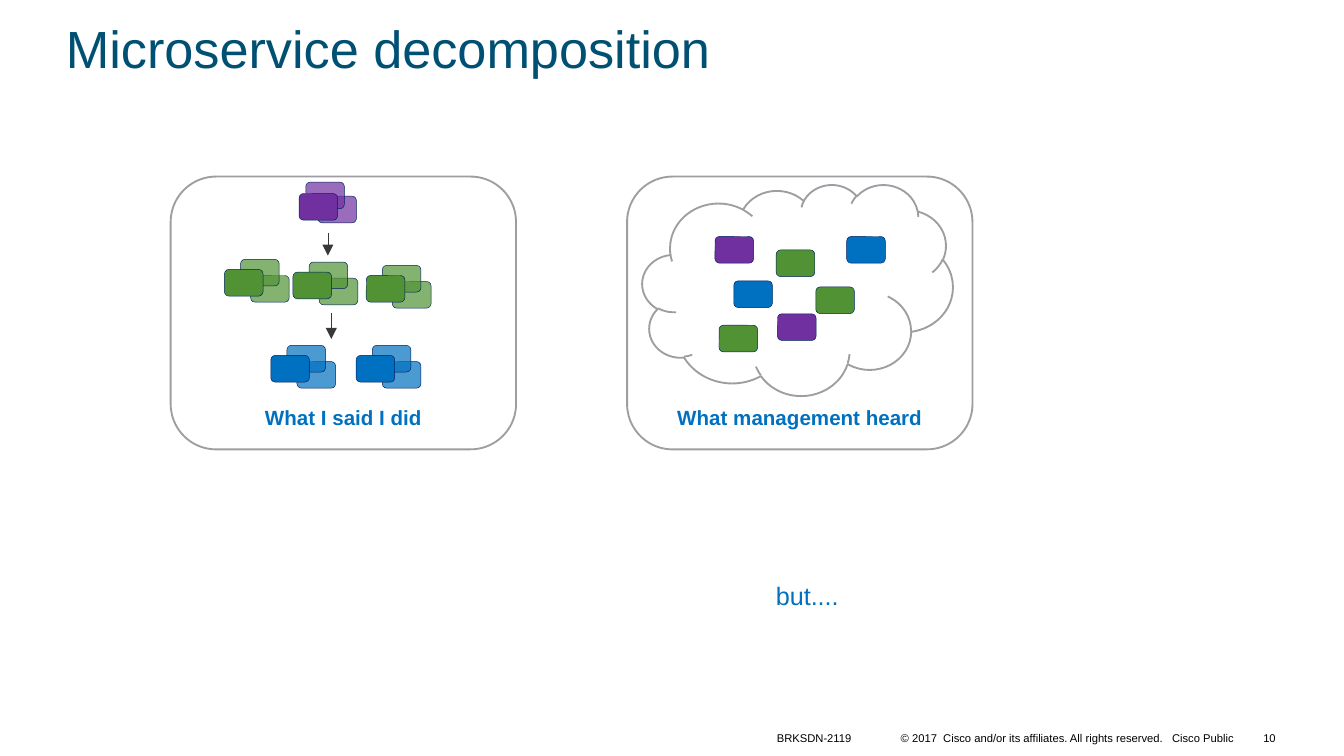
"""Build the microservice decomposition slide on a grid of 100 columns."""
from lxml import etree
from pptx import Presentation
from pptx import util as u
from pptx.dml.color import RGBColor
from pptx.enum import shapes, text
from pptx.oxml.ns import qn

PURPLE, GREEN, BLUE = "7030A0", "519234", "0070C0"
NAVY, GREY, WHITE, BLACK = "002060", "9E9EA2", "FFFFFF", "000000"
LEFT, CENTER, RIGHT = text.PP_ALIGN.LEFT, text.PP_ALIGN.CENTER, text.PP_ALIGN.RIGHT
TOP, MIDDLE, BOTTOM = text.MSO_ANCHOR.TOP, text.MSO_ANCHOR.MIDDLE, text.MSO_ANCHOR.BOTTOM
ROUNDED, CLOUD = shapes.MSO_SHAPE.ROUNDED_RECTANGLE, shapes.MSO_SHAPE.CLOUD


def paint(fill, colour, opacity=100):
    fill.solid()
    fill.fore_color.rgb = RGBColor.from_string(colour)
    if opacity < 100:
        for node in fill._xPr.iter(qn("a:srgbClr")):
            etree.SubElement(node, qn("a:alpha")).set("val", str(opacity * 1000))


def write(box, words, size=6, colour=BLACK, bold=False, align=LEFT,
          anchor=BOTTOM, inset=(0.1, 0.05), spacing=1.0):
    frame = box.text_frame
    frame.word_wrap = True
    frame.auto_size = text.MSO_AUTO_SIZE.NONE
    frame.vertical_anchor = anchor
    frame.margin_left = frame.margin_right = u.Inches(inset[0])
    frame.margin_top = frame.margin_bottom = u.Inches(inset[1])
    para = frame.paragraphs[0]
    para.alignment, para.line_spacing = align, spacing
    span = para.add_run()
    span.text = words
    span.font.name, span.font.size, span.font.bold = "Arial", u.Pt(size), bold
    paint(span.font.fill, colour)


deck = Presentation()
deck.slide_width = u.Inches(10)
deck.slide_height = deck.slide_width * 9 // 16
page = deck.slides.add_slide(deck.slide_layouts[5])
cell = deck.slide_width // 100

title = page.shapes.title
title.left, title.top, title.width, title.height = (
    int(cell * n) for n in (3.9, 1.65, 93.1, 4.8))
write(title, "Microservice decomposition", size=28, colour="005073", spacing=0.9)

card_size, block_size = (25.7, 20.3), (2.87, 1.98)
figures = [
    (ROUNDED, 12.7, 13.14, card_size, WHITE, 100, GREY, 1, "What I said I did"),
    (ROUNDED, 46.66, 13.14, card_size, WHITE, 100, GREY, 1, "What management heard"),
    (CLOUD, 47.8, 13.72, (23.1, 15.7), None, 100, GREY, 1, ""),
]
wide_steps = ((1.95, 0.45), (1.2, -0.75), (0, 0))
narrow_steps = ((1.4, 0.2), (0.5, -0.85), (0, 0))
stacks = [
    (22.25, 14.4, PURPLE, narrow_steps),
    (16.7, 20.05, GREEN, wide_steps),
    (21.8, 20.25, GREEN, wide_steps),
    (27.25, 20.5, GREEN, wide_steps),
    (20.15, 26.45, BLUE, wide_steps),
    (26.5, 26.45, BLUE, wide_steps),
]
for column, row, colour, steps in stacks:
    for across, down in steps:
        opacity = 70 if across else 100
        figures.append((ROUNDED, column + across, row + down, block_size,
                        colour, opacity, NAVY, 0.25, ""))
scattered = [
    (53.2, 17.6, PURPLE), (53.5, 24.2, GREEN), (57.75, 18.6, GREEN),
    (54.6, 20.9, BLUE), (60.7, 21.35, GREEN), (63, 17.6, BLUE), (57.85, 23.35, PURPLE),
]
for column, row, colour in scattered:
    figures.append((ROUNDED, column, row, block_size, colour, 100, NAVY, 0.25, ""))

for kind, column, row, size, colour, opacity, edge, weight, caption in figures:
    figure = page.shapes.add_shape(kind, *(int(cell * n) for n in (column, row, *size)))
    figure.shadow.inherit = False
    if colour:
        paint(figure.fill, colour, opacity)
    else:
        figure.fill.background()
    paint(figure.line.fill, edge)
    figure.line.width = u.Pt(weight)
    if caption:
        write(figure, caption, size=11, colour=BLUE, bold=True, align=CENTER)

for column, start, end in [(24.4, 17.35, 19.02), (24.65, 23.3, 25.23)]:
    arrow = page.shapes.add_connector(
        shapes.MSO_CONNECTOR.STRAIGHT, *(int(cell * n) for n in (column, start, column, end)))
    paint(arrow.line.fill, "39393B")
    arrow.line.width = u.Pt(0.25)
    etree.SubElement(arrow.line._get_or_add_ln(), qn("a:tailEnd")).set("type", "triangle")
    etree.SubElement(arrow._element.spPr, qn("a:effectLst"))

footer = {"inset": (0.07, 0.03)}
labels = [
    ((56.75, 42.95, 7.3, 3.1), "but....",
     {"size": 13.5, "colour": BLUE, "anchor": TOP, "spacing": 0.9}),
    ((57.1, 54.05, 7.8, 1.7), "BRKSDN-2119", footer),
    ((65.5, 54.05, 27, 1.7),
     "© 2017  Cisco and/or its affiliates. All rights reserved.   Cisco Public",
     {"align": RIGHT, **footer}),
    ((92, 53.45, 3.9, 3), "10", {"align": RIGHT, "anchor": MIDDLE}),
]
for place, words, look in labels:
    box = page.shapes.add_textbox(*(int(cell * n) for n in place))
    write(box, words, **look)

deck.save("out.pptx")
